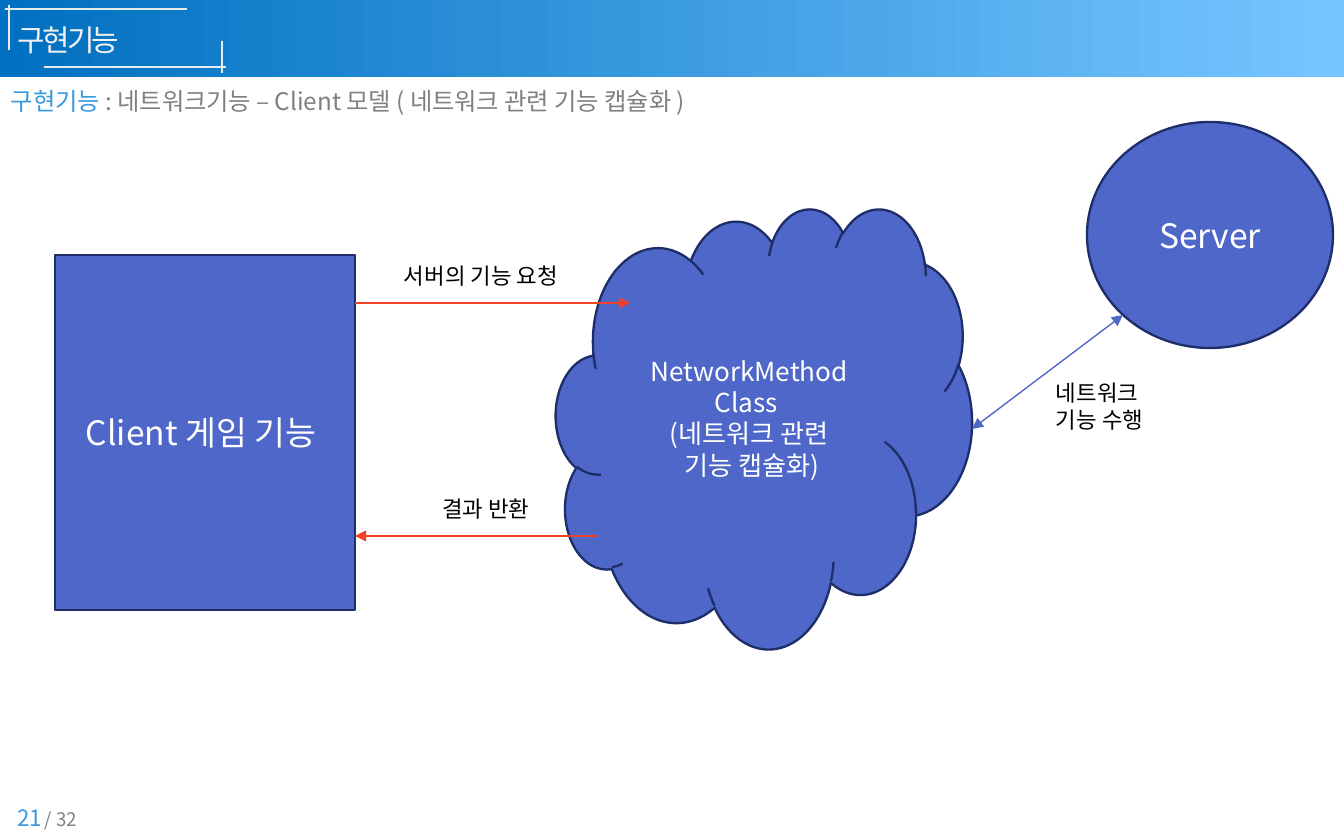
from collections import namedtuple
from dataclasses import dataclass

from lxml.etree import SubElement
from pptx import Presentation
from pptx.dml.color import RGBColor
from pptx.enum.shapes import MSO_CONNECTOR, MSO_SHAPE
from pptx.enum.text import MSO_ANCHOR, PP_ALIGN
from pptx.oxml.ns import qn
from pptx.util import Pt

EMU_PER_PX = 914400 / 134.4
Box = namedtuple("Box", "left top width height")


@dataclass(frozen=True)
class Theme:
    """Hold the colours, the font and the type sizes of the slide."""
    font: str = "Noto Sans CJK KR"
    deep: str = "0070C0"
    sky: str = "76C6FF"
    accent: str = "3899DE"
    pale: str = "F2F2F2"
    grey: str = "808080"
    white: str = "FFFFFF"
    black: str = "000000"
    node: str = "4E67C8"
    outline: str = "1F2E69"
    signal: str = "F14124"
    total: int = 10
    label: int = 12
    subtitle: int = 13
    method: int = 14
    title: int = 16
    heading: int = 18


THEME = Theme()


def px(length):
    """Turn pixels into EMU."""
    return round(length * EMU_PER_PX)


def rgb(colour):
    """Turn a hex string into a colour."""
    return RGBColor.from_string(colour)


def within(box, left, top, width, height):
    """Return a box placed relative to an outer box."""
    return Box(box.left + left, box.top + top, width, height)


def write(shape, *paragraphs, size=THEME.label, colour=THEME.black, align=PP_ALIGN.LEFT,
          anchor=MSO_ANCHOR.TOP, insets=(13, 7), spacing=None):
    """Fill a shape with paragraphs, each a string or a list of (text, colour) runs."""
    frame = shape.text_frame
    frame.word_wrap = True
    frame.vertical_anchor = anchor
    frame.margin_left = frame.margin_right = px(insets[0])
    frame.margin_top = frame.margin_bottom = px(insets[1])
    for index, content in enumerate(paragraphs):
        paragraph = frame.add_paragraph() if index else frame.paragraphs[0]
        paragraph.alignment = align
        runs = [(content, colour)] if isinstance(content, str) else content
        for text, run_colour in runs:
            run = paragraph.add_run()
            run.text = text
            run.font.size = Pt(size)
            run.font.color.rgb = rgb(run_colour)
            run.font.name = THEME.font
            properties = run.font._element
            SubElement(properties, qn("a:ea")).set("typeface", THEME.font)
            if spacing is not None:
                properties.set("spc", str(spacing))


def add_text(slide, box, *paragraphs, **formatting):
    """Add a text box with formatted paragraphs."""
    write(slide.shapes.add_textbox(*map(px, box)), *paragraphs, **formatting)


def add_line(slide, box, start, end, colour, weight, alpha=None, head=False, tail=False):
    """Draw a line between two points of a box, with optional arrowheads."""
    points = [px(box[i] + point[i]) for point in (start, end) for i in (0, 1)]
    connector = slide.shapes.add_connector(MSO_CONNECTOR.STRAIGHT, *points)
    connector.line.width = Pt(weight)
    connector.line.color.rgb = rgb(colour)
    properties = connector._element.spPr
    line = properties.find(qn("a:ln"))
    if alpha is not None:
        tint = line.find(".//" + qn("a:srgbClr"))
        SubElement(tint, qn("a:alpha")).set("val", str(alpha * 1000))
    for tag, shown in (("a:headEnd", head), ("a:tailEnd", tail)):
        if shown:
            SubElement(line, qn(tag)).set("type", "triangle")
    SubElement(properties, qn("a:effectLst"))


def add_node(slide, box, kind, *paragraphs, size=THEME.heading):
    """Add an outlined diagram node with centred text."""
    node = slide.shapes.add_shape(kind, *map(px, box))
    node.shadow.inherit = False
    node.fill.solid()
    node.fill.fore_color.rgb = rgb(THEME.node)
    node.line.color.rgb = rgb(THEME.outline)
    node.line.width = Pt(1.25)
    write(node, *paragraphs, size=size, colour=THEME.white,
          align=PP_ALIGN.CENTER, anchor=MSO_ANCHOR.MIDDLE)


def draw_header(slide, box):
    """Draw the gradient band with its corner lines and title."""
    band = slide.shapes.add_shape(MSO_SHAPE.RECTANGLE, *map(px, box))
    band.shadow.inherit = False
    band.line.fill.background()
    band.fill.gradient()
    band.fill.gradient_angle = 0
    for stop, position, colour in zip(band.fill.gradient_stops, (0, 1), (THEME.deep, THEME.sky)):
        stop.position = position
        stop.color.rgb = rgb(colour)
    for start, end in (((5, 9), (187, 9)), ((44, 67), (226, 67)),
                       ((222, 41), (222, 73)), ((9, 5), (9, 50))):
        add_line(slide, box, start, end, THEME.pale, 1, alpha=94)
    add_text(slide, within(box, 13, 22, 200, 36), "구현기능", size=THEME.title,
             colour=THEME.pale, align=PP_ALIGN.JUSTIFY, insets=(5, 0), spacing=-150)


def draw_subtitle(slide, box):
    """Write the subtitle line."""
    add_text(slide, box, [("구현기능 ", THEME.accent),
                          (": 네트워크기능 – Client 모델 ( 네트워크 관련 기능 캡슐화 )", THEME.grey)],
             size=THEME.subtitle, anchor=MSO_ANCHOR.MIDDLE, insets=(16, 7))


def draw_diagram(slide, box):
    """Draw the client, the network class and the server with their exchanges."""
    add_node(slide, within(box, 0, 133, 300, 355), MSO_SHAPE.RECTANGLE, "Client 게임 기능 ")
    add_node(slide, within(box, 501, 86, 416, 440), MSO_SHAPE.CLOUD, "NetworkMethod",
             "Class ", "(네트워크 관련", " 기능 캡슐화)", size=THEME.method)
    add_node(slide, within(box, 1032, 0, 246, 226), MSO_SHAPE.OVAL, "Server")
    add_line(slide, box, (543, 414), (300, 414), THEME.signal, 0.75, tail=True)
    add_line(slide, box, (300, 181), (575, 181), THEME.signal, 0.75, tail=True)
    add_line(slide, box, (917, 307), (1068, 193), THEME.node, 0.75, head=True, tail=True)
    add_text(slide, within(box, 336, 133, 202, 41), "서버의 기능 요청")
    add_text(slide, within(box, 374, 366, 126, 41), "결과 반환")
    add_text(slide, within(box, 988, 250, 168, 68), "네트워크", "기능 수행")


def draw_page_number(slide, box):
    """Write the page number and the page total."""
    add_text(slide, within(box, 40, 12, 52, 23), "/ 32", size=THEME.total,
             colour=THEME.grey, insets=(5, 0))
    add_text(slide, within(box, 0, 0, 55, 44), "21", colour=THEME.accent,
             align=PP_ALIGN.RIGHT, anchor=MSO_ANCHOR.MIDDLE)


def main():
    """Build the slide and save it."""
    deck = Presentation()
    deck.slide_width, deck.slide_height = px(1344), px(840)
    slide = deck.slides.add_slide(deck.slide_layouts[6])
    draw_header(slide, Box(0, 0, 1344, 77))
    draw_subtitle(slide, Box(-5, 82, 1348, 38))
    draw_diagram(slide, Box(55, 122, 1278, 526))
    draw_page_number(slide, Box(0, 796, 92, 44))
    deck.save("out.pptx")


if __name__ == "__main__":
    main()
